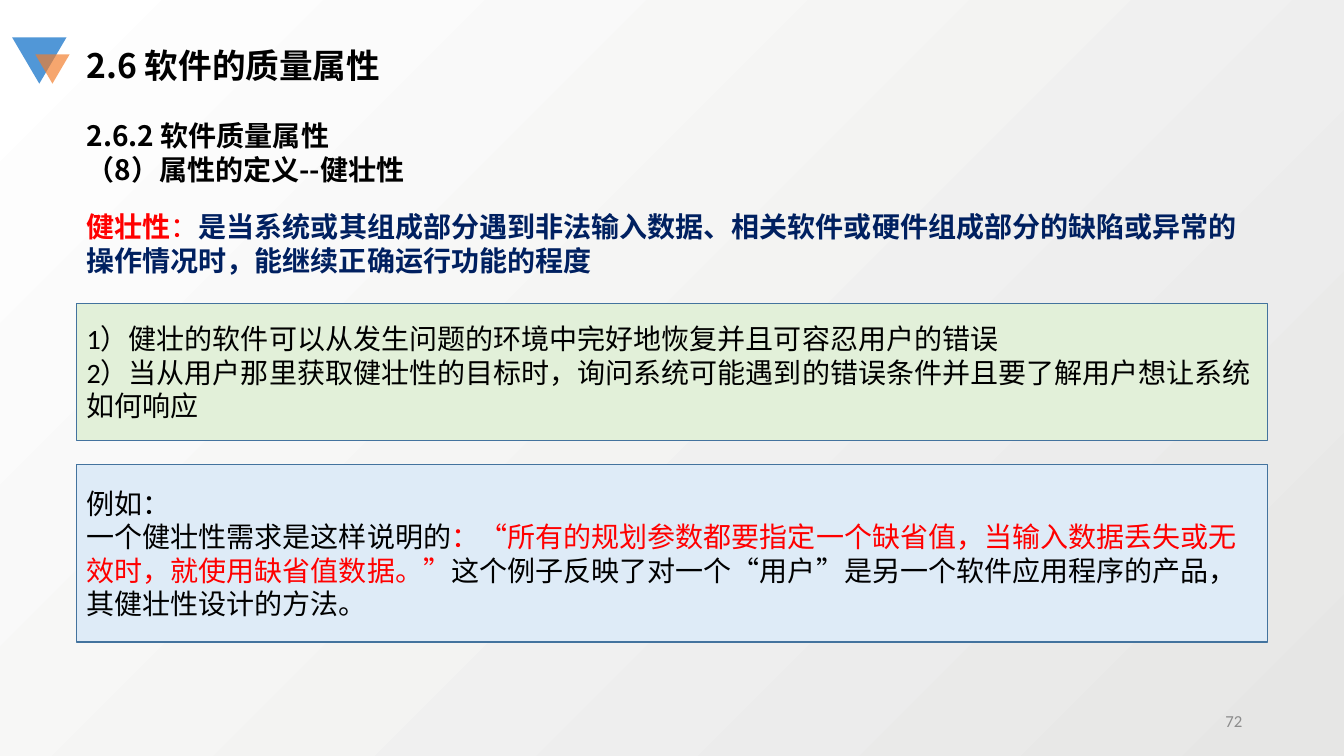
from lxml import etree
from pptx import Presentation
from pptx import util as u
from pptx.dml.color import RGBColor
from pptx.enum import shapes, text
from pptx.oxml.ns import qn

WIDE, HIGH = 13.33, 7.5
LEFT, SPAN = 0.76, 11.81
SANS, BODY = "Noto Sans CJK SC", "Calibri"
HUES = {
    "ink": "000000", "red": "FF0000", "navy": "002060", "gray": "8C8C8C",
    "edge": "43739E", "green": "E2F0D9", "pale": "DEEBF7",
    "blue": "5197D7", "orange": "F37D2A", "dusk": "E6E6E5", "white": "FFFFFF",
}


def hue(name):
    return RGBColor.from_string(HUES[name])


def place(shape, x, y, w, h):
    shape.left, shape.top = u.Inches(x), u.Inches(y)
    shape.width, shape.height = u.Inches(w), u.Inches(h)


def write(shape, paras, size=20, face=BODY, bold=False, color="ink",
          align=text.PP_ALIGN.LEFT, anchor=text.MSO_ANCHOR.MIDDLE, wrap=True):
    """Fill a shape; each paragraph is a list of (words, run colour, run bold)."""
    frame = shape.text_frame
    frame.word_wrap = wrap
    frame.auto_size = text.MSO_AUTO_SIZE.NONE
    frame.vertical_anchor = anchor
    for i, runs in enumerate(paras):
        para = frame.add_paragraph() if i else frame.paragraphs[0]
        para.alignment = align
        para.line_spacing = u.Pt(size * 1.2)
        para.space_before = para.space_after = u.Pt(0)
        font = para.font
        font.size, font.name, font.bold = u.Pt(size), face, bold
        font.color.rgb = hue(color)
        base = para._p.pPr.find(qn("a:defRPr"))
        etree.SubElement(base, qn("a:ea"), typeface=SANS)
        for words, tint, heavy in runs:
            run = para.add_run()
            run.text = words
            if tint:
                run.font.color.rgb = hue(tint)
            if heavy is not None:
                run.font.bold = heavy


def plain(*lines):
    return [[(line, None, None)] for line in lines]


def label(slide, box, paras, **style):
    shape = slide.shapes.add_textbox(0, 0, 0, 0)
    place(shape, *box)
    write(shape, paras, **style)


def solid(slide, kind, box, fill):
    shape = slide.shapes.add_shape(kind, 0, 0, 0, 0)
    place(shape, *box)
    shape.shadow.inherit = False
    shape.fill.solid()
    shape.fill.fore_color.rgb = hue(fill)
    shape.line.fill.background()
    return shape


def panel(slide, y, h, fill, paras):
    shape = solid(slide, shapes.MSO_SHAPE.RECTANGLE, (LEFT, y, SPAN, h), fill)
    shape.line.color.rgb = hue("edge")
    shape.line.width = u.Pt(1)
    write(shape, paras)


def wedge(slide, box, fill, alpha=100):
    """Triangle that points down, with its opacity in percent."""
    shape = solid(slide, shapes.MSO_SHAPE.ISOSCELES_TRIANGLE, box, fill)
    shape.rotation = 180
    if alpha < 100:
        color = shape._element.spPr.find(qn("a:solidFill"))[0]
        etree.SubElement(color, qn("a:alpha"), val=str(alpha * 1000))


def backdrop(slide):
    fill = slide.background.fill
    fill.gradient()
    fill.gradient_angle = 135
    for stop, name in zip(fill.gradient_stops, ("dusk", "white")):
        stop.color.rgb = hue(name)


def main():
    deck = Presentation()
    deck.slide_width, deck.slide_height = u.Inches(WIDE), u.Inches(HIGH)
    slide = deck.slides.add_slide(deck.slide_layouts[5])
    backdrop(slide)

    wedge(slide, (0.12, 0.37, 0.54, 0.46), "blue")
    wedge(slide, (0.35, 0.54, 0.34, 0.29), "orange", 68)
    title = slide.shapes.title
    place(title, LEFT, 0.4, 3.35, 0.5)
    write(title, plain("2.6 软件的质量属性"), size=24, face=SANS, bold=True,
          anchor=text.MSO_ANCHOR.TOP, wrap=False)

    label(slide, (LEFT, 1.13, 8.49, 0.77),
          plain("2.6.2 软件质量属性", "（8）属性的定义--健壮性"),
          face=SANS, bold=True, anchor=text.MSO_ANCHOR.TOP)
    label(slide, (LEFT, 2.06, SPAN, 0.71), [[
        ("健壮性", "red", None),
        ("：", "red", False),
        ("是当系统或其组成部分遇到非法输入数据、相关软件或硬件组成部分的缺陷或异常的"
         "操作情况时，能继续正确运行功能的程度", None, None),
    ]], bold=True, color="navy")

    panel(slide, 3.01, 1.36, "green", plain(
        "1）健壮的软件可以从发生问题的环境中完好地恢复并且可容忍用户的错误",
        "2）当从用户那里获取健壮性的目标时，询问系统可能遇到的错误条件并且要了解用户想让系"
        "统如何响应"))
    panel(slide, 4.61, 1.76, "pale", plain("例如：") + [[
        ("一个健壮性需求是这样说明的", None, None),
        ("：“所有的规划参数都要指定一个缺省值，当输入数据丢失或无"
         "效时，就使用缺省值数据。”", "red", None),
        ("这个例子反映了对一个“用户”是另一个软件应用程序的产品，"
         "其健壮性设计的方法。", None, None),
    ]])

    label(slide, (9.42, 6.95, 3, 0.4), plain("72"), size=12, color="gray",
          align=text.PP_ALIGN.RIGHT)
    deck.save("out.pptx")


if __name__ == "__main__":
    main()
